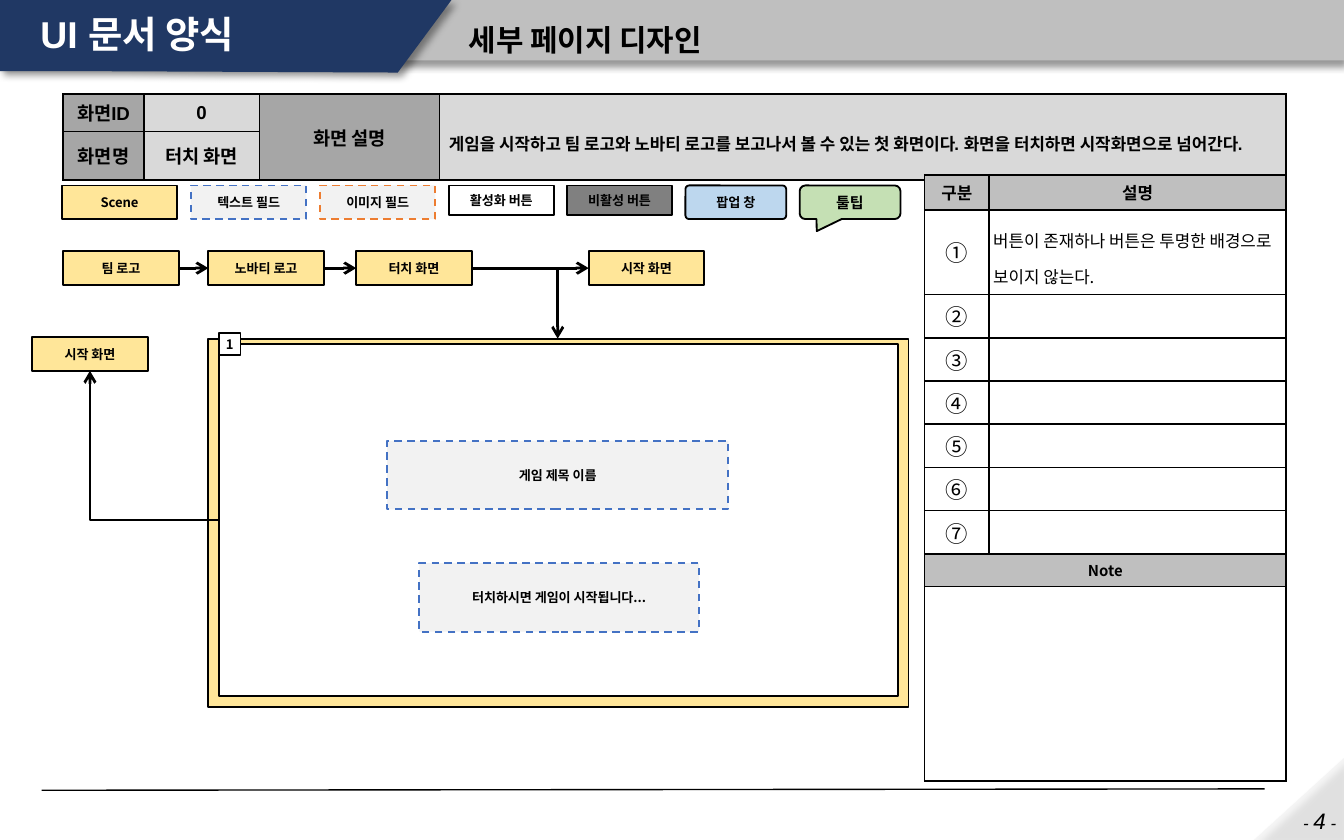
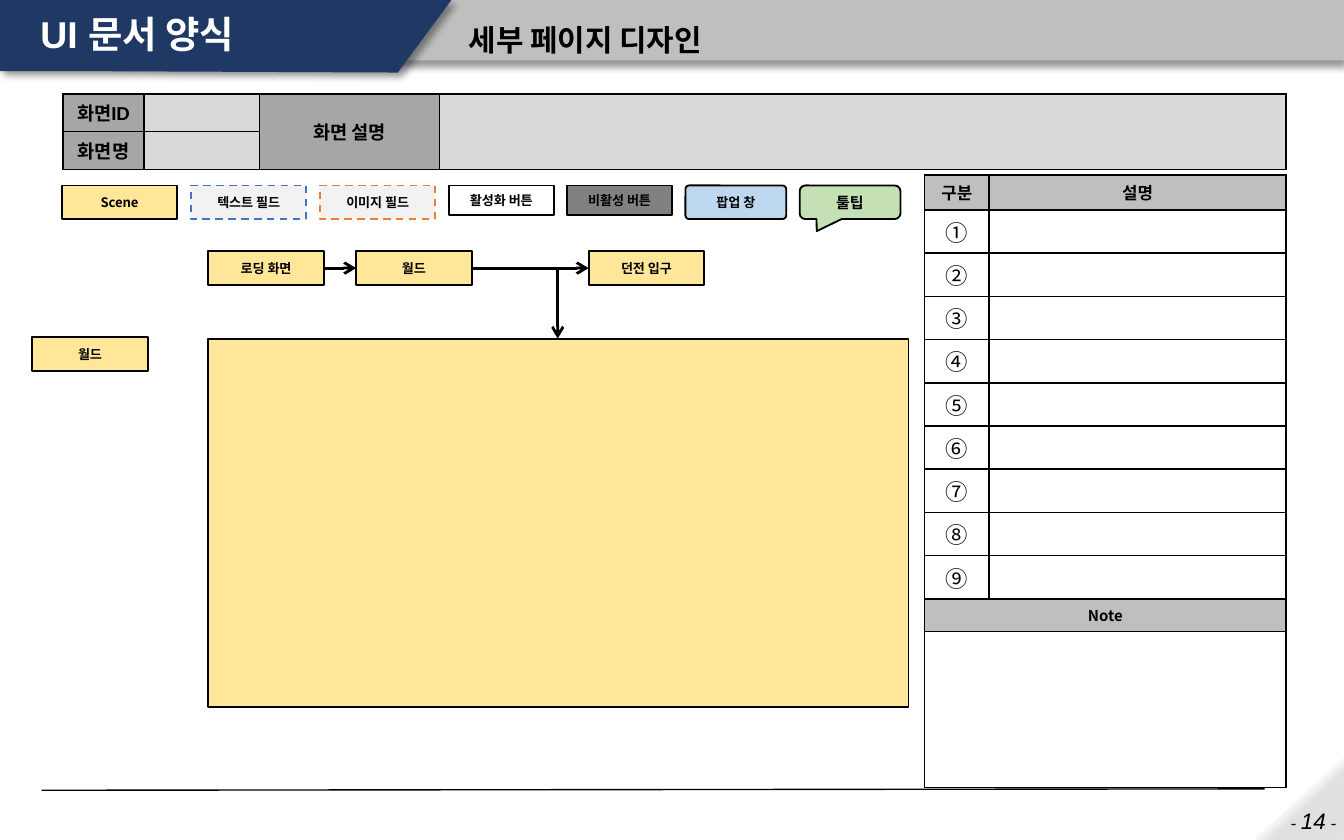
"""Build two pages of a UI specification: screen flow, mock-up and description tables."""
from lxml import etree
from pptx import Presentation
from pptx import util as u
from pptx.dml.color import RGBColor
from pptx.enum import dml, shapes, text
from pptx.oxml.ns import qn

presentation = Presentation()
presentation.slide_width = u.Inches(10)
presentation.slide_height = u.Inches(6.25)
column = presentation.slide_width / 100
row = presentation.slide_height / 62.5

color = RGBColor.from_string
BLACK, WHITE, NAVY, BAND = "000000", "FFFFFF", "203864", "BFBFBF"
SCENE, FIELD, BLUE, ORANGE = "FFE699", "F2F2F2", "4472C4", "ED7D31"
LABEL, VALUE = "A6A6A6", "D9D9D9"
LATIN, KOREAN = "Arial", "Noto Sans CJK KR"
LEFT, CENTER, RIGHT = text.PP_ALIGN.LEFT, text.PP_ALIGN.CENTER, text.PP_ALIGN.RIGHT
RECTANGLE = shapes.MSO_SHAPE.RECTANGLE
STRAIGHT, ELBOW = shapes.MSO_CONNECTOR.STRAIGHT, shapes.MSO_CONNECTOR.ELBOW


def write(frame, runs, font=KOREAN, ink=BLACK, bold=True, italic=False, align=CENTER, spacing=None):
    """Fill the first paragraph of a text frame with (words, size) runs."""
    paragraph = frame.paragraphs[0]
    paragraph.alignment = align
    if spacing:
        paragraph.line_spacing = spacing
    for words, size in runs:
        run = paragraph.add_run()
        run.text = words
        run.font.size = u.Pt(size)
        run.font.bold = bold
        run.font.italic = italic
        run.font.color.rgb = color(ink)
        run.font.name = font
        etree.SubElement(run._r.get_or_add_rPr(), qn("a:ea"), typeface=KOREAN)


def box(parent, place, fill, label="", size=7, line=BLACK, dashed=False, kind=RECTANGLE):
    """Add a filled shape placed in grid columns and rows, with a centred label."""
    left, top, width, height = place
    shape = parent.add_shape(
        kind, u.Emu(round(left * column)), u.Emu(round(top * row)),
        u.Emu(round(width * column)), u.Emu(round(height * row)))
    shape.shadow.inherit = False
    shape.fill.solid()
    shape.fill.fore_color.rgb = color(fill)
    if line:
        shape.line.color.rgb = color(line)
        shape.line.width = u.Pt(1)
        if dashed:
            shape.line.dash_style = dml.MSO_LINE.DASH
    else:
        shape.line.fill.background()
    if label:
        frame = shape.text_frame
        frame.word_wrap = True
        frame.margin_left = frame.margin_right = frame.margin_top = frame.margin_bottom = 0
        frame.vertical_anchor = text.MSO_ANCHOR.MIDDLE
        write(frame, [(label, size)])
    return shape


legend = [
    ("Scene", 8.6, 2.5, SCENE, BLACK, RECTANGLE, 7),
    ("텍스트 필드", 8.6, 2.5, FIELD, BLUE, RECTANGLE, 7),
    ("이미지 필드", 8.6, 2.5, FIELD, ORANGE, RECTANGLE, 7),
    ("활성화 버튼", 7.8, 2.2, WHITE, BLACK, RECTANGLE, 7),
    ("비활성 버튼", 7.8, 2.2, "808080", BLACK, RECTANGLE, 7),
    ("팝업 창", 7.5, 2.5, "BDD7EE", BLACK, shapes.MSO_SHAPE.ROUNDED_RECTANGLE, 7),
    ("툴팁", 7.5, 2.5, "C5E0B4", BLACK, shapes.MSO_SHAPE.ROUNDED_RECTANGULAR_CALLOUT, 8),
]
adjustments = {"팝업 창": [0.11], "툴팁": [-0.33, 0.86, 0.17]}
flow_columns = [4.7, 15.5, 26.5, 43.8]

pages = [
    {
        "number": "4", "id": "0", "name": "터치 화면", "info_rows": [2.8, 3.6],
        "summary": "게임을 시작하고 팀 로고와 노바티 로고를 보고나서 볼 수 있는 첫 화면이다. "
                   "화면을 터치하면 시작화면으로 넘어간다.",
        "flow": ["팀 로고", "노바티 로고", "터치 화면", "시작 화면"], "target": "시작 화면",
        "marks": "①②③④⑤⑥⑦", "note_height": 14.5, "first_height": 6.3,
        "detail": "버튼이 존재하나 버튼은 투명한 배경으로 보이지 않는다.",
        "fields": [("게임 제목 이름", (28.8, 32.8, 25.4, 5.1)),
                   ("터치하시면 게임이 시작됩니다...", (31.2, 41.9, 20.8, 5.1))],
    },
    {
        "number": "14", "id": "", "name": "", "info_rows": [2.8, 2.8], "summary": "",
        "flow": ["로딩 화면", "월드", "던전 입구"], "target": "월드",
        "marks": "①②③④⑤⑥⑦⑧⑨", "note_height": 11.6, "first_height": 3.2,
        "detail": "", "fields": [],
    },
]

for page in pages:
    slide = presentation.slides.add_slide(presentation.slide_layouts[5])
    canvas = slide.shapes

    band = box(canvas, (0, 0, 100, 4.5), BAND, line=None)
    outline = [(round(x * column), round(y * row))
               for x, y in [(33.6, 0), (29.6, 5.4), (7, 5.3), (0, 5.3)]]
    builder = canvas.build_freeform(0, 0)
    builder.add_line_segments(outline, close=True)
    title_tab = builder.convert_to_shape()
    title_tab.shadow.inherit = False
    title_tab.fill.solid()
    title_tab.fill.fore_color.rgb = color(NAVY)
    title_tab.line.fill.background()
    corner = box(canvas, (93.6, 56.1, 6.1, 6.7), FIELD, line=None,
                 kind=shapes.MSO_SHAPE.RIGHT_TRIANGLE)
    corner.rotation = 270
    corner_fill = corner._element.spPr.find(qn("a:solidFill"))
    etree.SubElement(corner_fill[0], qn("a:alpha"), val="70000")
    for shape, angle in [(band, 90), (title_tab, 45), (corner, 45)]:
        effects = shape._element.spPr.find(qn("a:effectLst"))
        shadow = etree.SubElement(
            effects, qn("a:outerShdw"), blurRad=str(u.Pt(4)), dist=str(u.Pt(3)),
            dir=str(angle * 60000), algn="t", rotWithShape="0")
        tint = etree.SubElement(shadow, qn("a:srgbClr"), val=BLACK)
        etree.SubElement(tint, qn("a:alpha"), val="40000")

    title = canvas.title
    canvas._spTree.append(title._element)
    subtitle = canvas.add_textbox(0, 0, 0, 0)
    page_number = canvas.add_textbox(0, 0, 0, 0)
    for shape, place, anchor in [
        (title, (2, 0, 29.9, 5.4), text.MSO_ANCHOR.MIDDLE),
        (subtitle, (33.9, 0, 66.1, 4.5), text.MSO_ANCHOR.MIDDLE),
        (page_number, (89.4, 59.6, 11, 2), text.MSO_ANCHOR.TOP),
    ]:
        shape.left, shape.width = round(place[0] * column), round(place[2] * column)
        shape.top, shape.height = round(place[1] * row), round(place[3] * row)
        shape.text_frame.word_wrap = True
        shape.text_frame.auto_size = text.MSO_AUTO_SIZE.NONE
        shape.text_frame.vertical_anchor = anchor
    write(title.text_frame, [("UI 문서 양식", 20)], LATIN, WHITE, align=LEFT, spacing=0.9)
    write(subtitle.text_frame, [("세부 페이지 디자인", 16)], LATIN, align=LEFT, spacing=1.5)
    write(page_number.text_frame, [("- ", 9), (page["number"], 12), (" -", 9)], LATIN,
          bold=False, italic=True, align=RIGHT)

    left = 4.6
    for label, width, height, fill, line, kind, size in legend:
        key = box(canvas, (left, 13.8, width, height), fill, label, size, line,
                  line != BLACK, kind)
        for index, value in enumerate(adjustments.get(label, [])):
            key.adjustments[index] = value
        left += width + 1

    box(canvas, (15.5, 25.2, 52.1, 27.4), SCENE)
    steps = [box(canvas, (x, 18.7, 8.6, 2.5), SCENE, name)
             for x, name in zip(flow_columns[-len(page["flow"]):], page["flow"])]
    box(canvas, (2.4, 25.1, 8.6, 2.5), SCENE, page["target"])

    routes = [(STRAIGHT, (3.1, 58.8), (94.1, 58.7), 0.75, None),
              (ELBOW, (35.1, 19.95), (41.5, 25.2), 1.5, None)]
    routes += [(STRAIGHT, (0, 0), (0, 0), 1.5, pair) for pair in zip(steps, steps[1:])]
    if page["fields"]:
        mockup = canvas.add_group_shape()
        box(mockup.shapes, (16.3, 25.6, 50.5, 26.2), WHITE)
        box(mockup.shapes, (16.3, 24.8, 1.6, 1.6), WHITE, "1")
        routes.append((ELBOW, (16.3, 38.7), (6.7, 27.6), 1.5, None))
    for label, place in page["fields"]:
        box(canvas, place, FIELD, label, line=BLUE, dashed=True)

    for kind, start, finish, weight, joined in routes:
        connector = canvas.add_connector(
            kind, round(start[0] * column), round(start[1] * row),
            round(finish[0] * column), round(finish[1] * row))
        if joined:
            connector.begin_connect(joined[0], 3)
            connector.end_connect(joined[1], 1)
        connector.line.color.rgb = color(BLACK)
        connector.line.width = u.Pt(weight)
        properties = connector._element.spPr
        if weight > 1:
            etree.SubElement(properties.find(qn("a:ln")), qn("a:tailEnd"), type="arrow")
        if kind == ELBOW:
            properties.find(qn("a:prstGeom")).set("prst", "bentConnector2")
        etree.SubElement(properties, qn("a:effectLst"))

    info = [
        [("화면ID", 10, True, CENTER, LABEL), (page["id"], 10, True, CENTER, VALUE),
         ("화면 설명", 10, True, CENTER, LABEL), (page["summary"], 9, True, LEFT, VALUE)],
        [("화면명", 10, True, CENTER, LABEL), (page["name"], 10, True, CENTER, VALUE),
         ("", 9, True, CENTER, LABEL), ("", 9, True, CENTER, VALUE)],
    ]
    details = [[("구분", 9, True, CENTER, BAND), ("설명", 9, True, CENTER, BAND)]]
    for mark in page["marks"]:
        detail = page["detail"] if mark == "①" else ""
        details.append([(mark, 12, False, CENTER, None), (detail, 9, False, LEFT, None)])
    details.append([("Note", 8, True, CENTER, BAND), ("", 8, True, CENTER, BAND)])
    details.append([("", 8, False, LEFT, None)] * 2)
    count = len(page["marks"])
    detail_rows = [2.5, page["first_height"]] + [3.2] * (count - 1) + [2.4, page["note_height"]]

    for cells, (x, y), widths, heights, merges, font in [
        (info, (4.7, 7), [6, 8.6, 13.4, 63], page["info_rows"],
         [(0, 2, 1, 2), (0, 3, 1, 3)], LATIN),
        (details, (68.8, 13), [4.8, 22.1], detail_rows,
         [(count + 1, 0, count + 1, 1), (count + 2, 0, count + 2, 1)], KOREAN),
    ]:
        table = canvas.add_table(
            len(heights), len(widths), round(x * column), round(y * row),
            round(sum(widths) * column), round(sum(heights) * row)).table
        table.first_row = table.horz_banding = False
        for index, width in enumerate(widths):
            table.columns[index].width = round(width * column)
        for index, height in enumerate(heights):
            table.rows[index].height = round(height * row)
        for r, entries in enumerate(cells):
            for c, (words, size, bold, align, fill) in enumerate(entries):
                cell = table.cell(r, c)
                cell.vertical_anchor = text.MSO_ANCHOR.MIDDLE
                cell.margin_top = cell.margin_bottom = u.Inches(0.04)
                margin = 0.07 if font == LATIN and align == LEFT else 0.03
                cell.margin_left = cell.margin_right = u.Inches(margin)
                for side in ("a:lnL", "a:lnR", "a:lnT", "a:lnB"):
                    border = etree.SubElement(cell._tc.get_or_add_tcPr(), qn(side),
                                              w=str(u.Pt(1)))
                    stroke = etree.SubElement(border, qn("a:solidFill"))
                    etree.SubElement(stroke, qn("a:srgbClr"), val=BLACK)
                if fill:
                    cell.fill.solid()
                    cell.fill.fore_color.rgb = color(fill)
                else:
                    cell.fill.background()
                if words:
                    write(cell.text_frame, [(words, size)], font, bold=bold, align=align,
                          spacing=1.5 if align == LEFT else None)
                else:
                    paragraph = cell.text_frame.paragraphs[0]
                    etree.SubElement(paragraph._p, qn("a:endParaRPr"), sz=str(size * 100))
        for top, first, bottom, last in merges:
            table.cell(top, first).merge(table.cell(bottom, last))

presentation.save("out.pptx")
